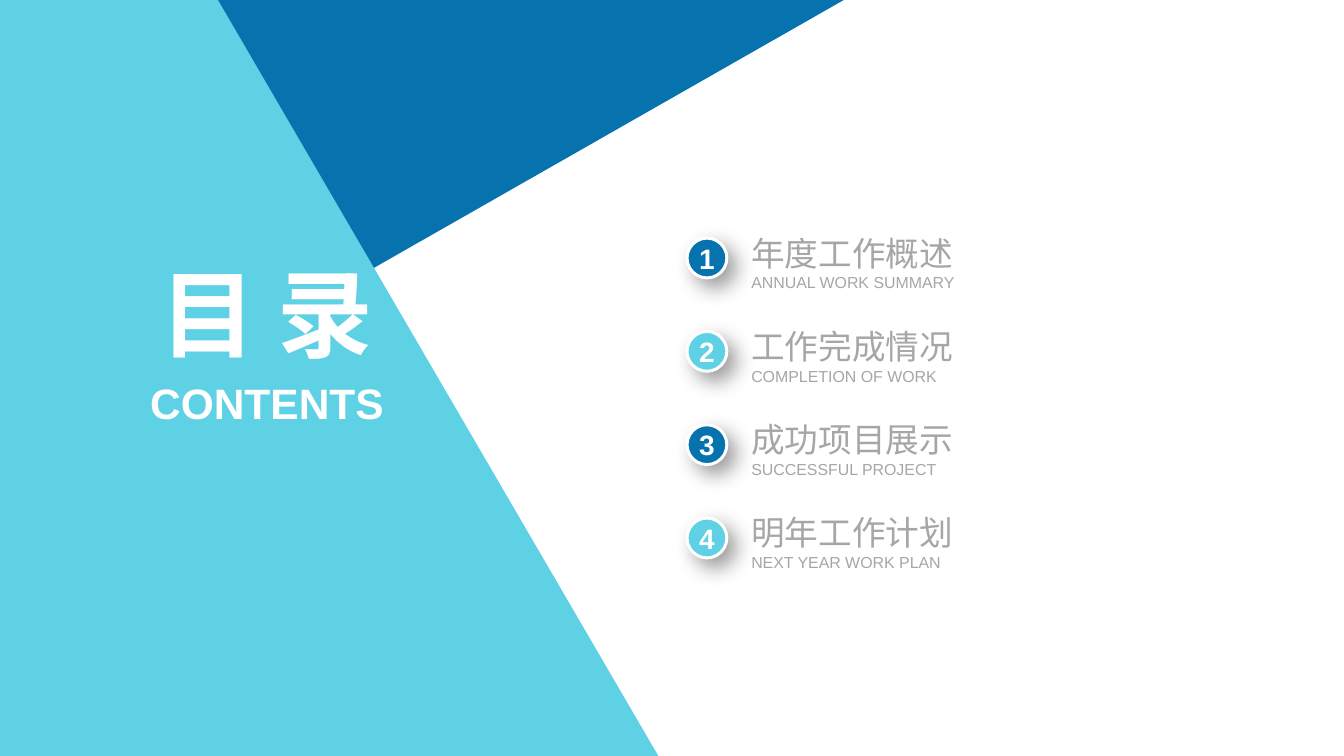
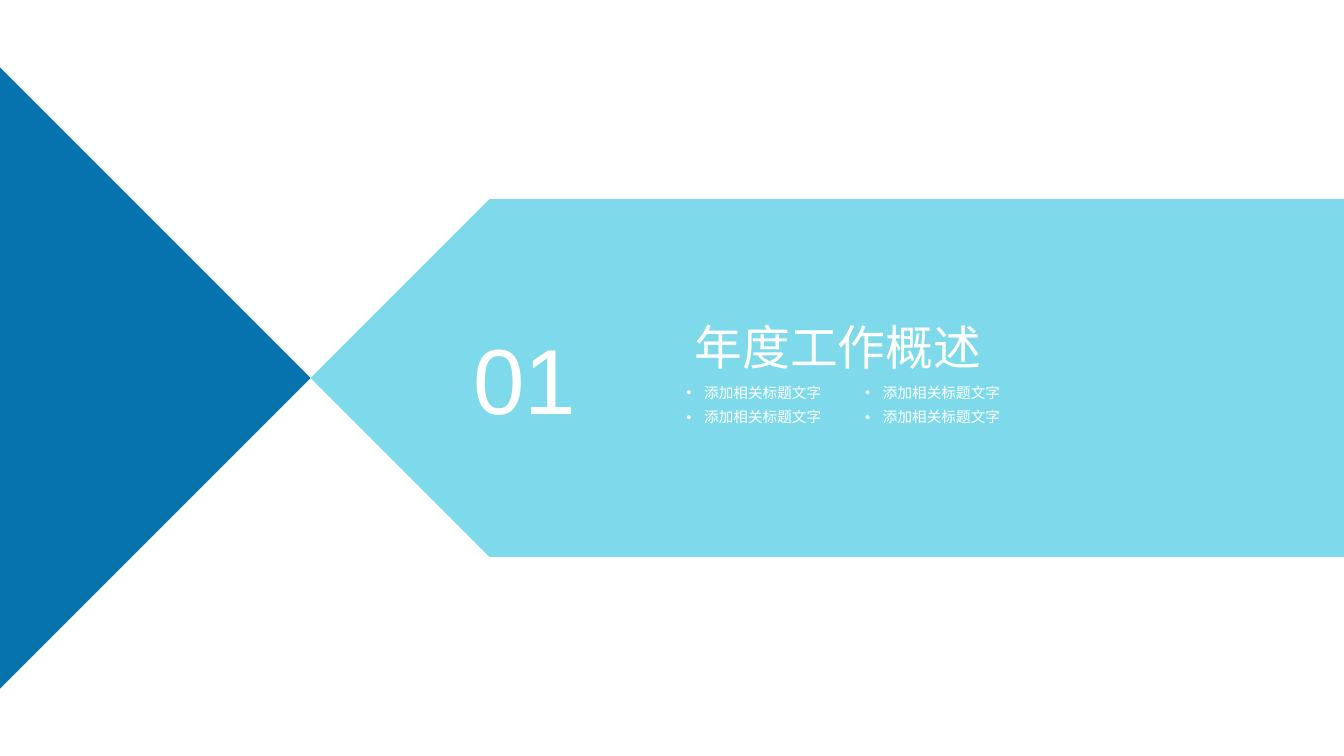
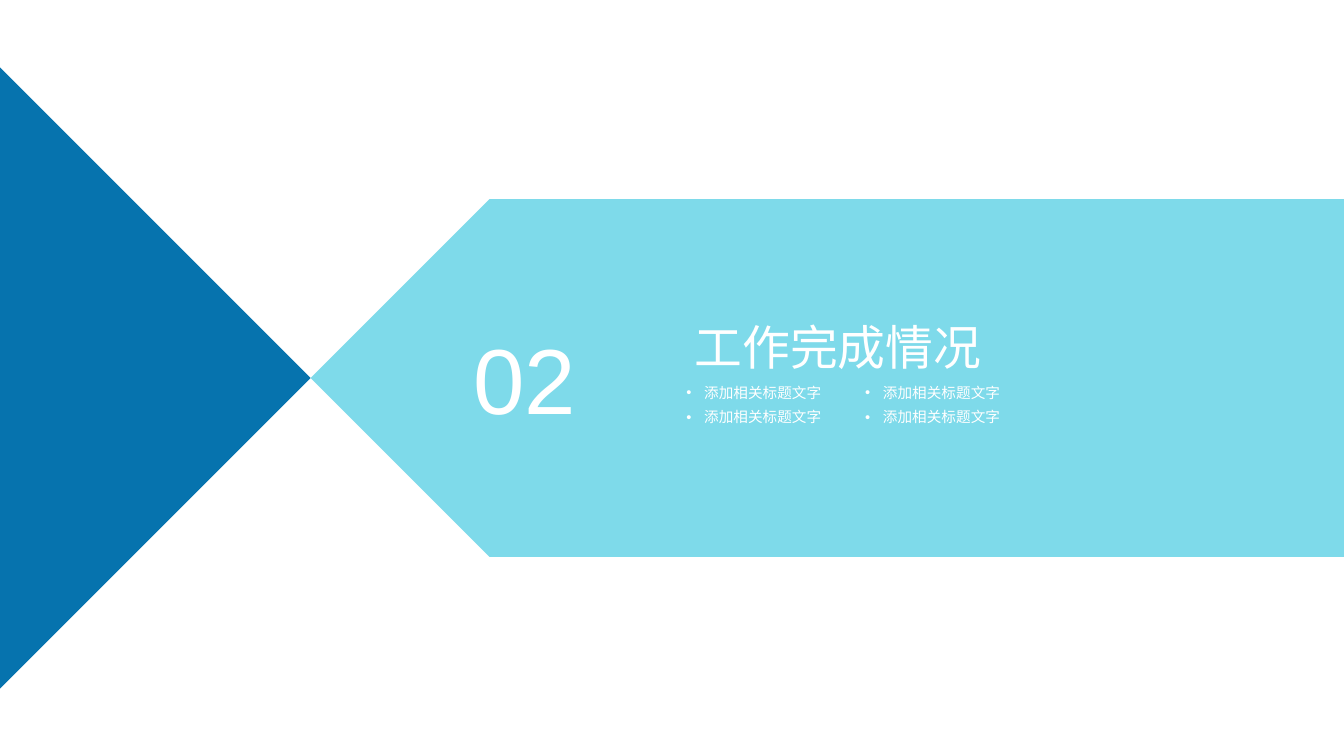
from lxml.etree import SubElement
from pptx import Presentation
from pptx.dml.color import RGBColor as RGB
from pptx.enum.shapes import MSO_SHAPE as SHAPE
from pptx.enum.text import MSO_ANCHOR as ANCHOR, MSO_AUTO_SIZE as AUTO, PP_ALIGN as ALIGN
from pptx.oxml.ns import qn
from pptx.util import Pt

HUE = {"blue": "0673AE", "cyan": "5ED1E5", "white": "FFFFFF", "gray": "A6A6A6"}
FONT = "Arial"
WIDE, HIGH = 1012.5, 569.5
MID = HIGH / 2

prs = Presentation()
prs.slide_width, prs.slide_height = Pt(WIDE), Pt(HIGH)


def write(shape, text, sizes, hue="white", box=None, bold=False,
          align=ALIGN.CENTER, anchor=ANCHOR.MIDDLE, inset=(0, 0)):
    """Place a shape and fill it with text; sizes holds one size per paragraph."""
    if box:
        shape.left, shape.top, shape.width, shape.height = [Pt(v) for v in box]
    frame = shape.text_frame
    frame.text = text
    frame.word_wrap = True
    frame.auto_size = AUTO.NONE
    frame.vertical_anchor = anchor
    frame.margin_left = frame.margin_right = Pt(inset[0])
    frame.margin_top = frame.margin_bottom = Pt(inset[1])
    for para, size in zip(frame.paragraphs, sizes):
        para.alignment = align
        for run in para.runs:
            run.font.name, run.font.size, run.font.bold = FONT, Pt(size), bold
            run.font.color.rgb = RGB.from_string(HUE[hue])


def outline(slide, points, hue):
    """Draw a closed polygon without line or shadow."""
    start, *rest = [(Pt(x), Pt(y)) for x, y in points]
    path = slide.shapes.build_freeform(*start)
    path.add_line_segments(rest, close=True)
    shape = path.convert_to_shape()
    shape.shadow.inherit = False
    shape.fill.solid()
    shape.fill.fore_color.rgb = RGB.from_string(HUE[hue])
    shape.line.fill.background()


# Contents slide: background
slide = prs.slides.add_slide(prs.slide_layouts[5])
outline(slide, [(0, 0), (635.7, 0), (0.7, 362)], "blue")
outline(slide, [(0, 0), (164.2, 0), (496, HIGH), (0, HIGH)], "cyan")

# Contents slide: numbered entries
topics = [
    ("年度工作概述", "ANNUAL WORK SUMMARY"),
    ("工作完成情况", "COMPLETION OF WORK"),
    ("成功项目展示", "SUCCESSFUL PROJECT"),
    ("明年工作计划", "NEXT YEAR WORK PLAN"),
]
for i, (name, sub) in enumerate(topics):
    top = 179.4 + i * 70.3
    dot = slide.shapes.add_shape(SHAPE.OVAL, Pt(517.6), Pt(top), Pt(30), Pt(30))
    dot.fill.solid()
    dot.fill.fore_color.rgb = RGB.from_string(HUE["cyan" if i % 2 else "blue"])
    dot.line.color.rgb = RGB.from_string(HUE["white"])
    dot.line.width = Pt(2.25)
    dot.shadow.inherit = False
    glow = SubElement(dot.element.spPr.find(qn("a:effectLst")), qn("a:outerShdw"),
                      blurRad=str(Pt(16)), dist=str(Pt(9)), dir="2700000",
                      algn="tl", rotWithShape="0")
    tint = SubElement(glow, qn("a:srgbClr"), val="000000")
    SubElement(tint, qn("a:alpha"), val="40000")
    write(dot, str(i + 1), [21.1], bold=True)

    label = slide.shapes.add_textbox(Pt(566), Pt(top - 4.6), Pt(177), Pt(45.4))
    write(label, f"{name}\n{sub}", [25.3, 12], "gray", align=ALIGN.LEFT)

# Contents slide: title
title = slide.shapes.title
write(title, "目 录", [72], box=(97.9, 191.5, 206.6, 87.1), bold=True)
title.element.getparent().append(title.element)
label = slide.shapes.add_textbox(Pt(109.4), Pt(284.4), Pt(183.6), Pt(38.9))
write(label, "CONTENTS", [32], bold=True, anchor=ANCHOR.TOP)

# Section slides
tip = 234
for i, (name, sub) in enumerate(topics[:2], 1):
    slide = prs.slides.add_slide(prs.slide_layouts[3])
    title, *lists = slide.placeholders

    # Band pointing left, and the triangle it meets
    band = slide.shapes.add_shape(SHAPE.PENTAGON, Pt(tip), Pt(MID - 134.8),
                                  Pt(WIDE - tip), Pt(269.6))
    band.element.spPr.xfrm.set("flipH", "1")
    band.shadow.inherit = False
    band.fill.solid()
    band.fill.fore_color.rgb = RGB.from_string(HUE["cyan"])
    SubElement(band.element.spPr.find(".//" + qn("a:srgbClr")), qn("a:alpha"), val="80000")
    band.line.fill.background()
    outline(slide, [(0, MID - tip), (tip, MID), (0, MID + tip)], "blue")

    # Number and title
    label = slide.shapes.add_textbox(Pt(339), Pt(239), Pt(112.3), Pt(91.4))
    write(label, f"{i:02}", [69.6], anchor=ANCHOR.TOP, inset=(7.2, 3.6))
    write(title, name, [36], box=(506, 239, 250.6, 43.9), anchor=ANCHOR.TOP)
    title.element.getparent().append(title.element)

    # Two bullet columns
    for col, body in enumerate(lists):
        write(body, "\n".join(["添加相关标题文字"] * 2), [11, 11],
              box=(509.8 + col * 134.7, 285.8, 117.4, 42), align=ALIGN.LEFT,
              anchor=ANCHOR.TOP, inset=(7.2, 3.6))
        for row, para in enumerate(body.text_frame.paragraphs):
            props = para._p.get_or_add_pPr()
            props.set("marL", str(Pt(13.5)))
            props.set("indent", str(-Pt(13.5)))
            SubElement(props, qn("a:buChar"), char="•")
            para.space_before = Pt(5 * row)
            para.font.size = Pt(11)
        body.element.getparent().append(body.element)

prs.save("out.pptx")
